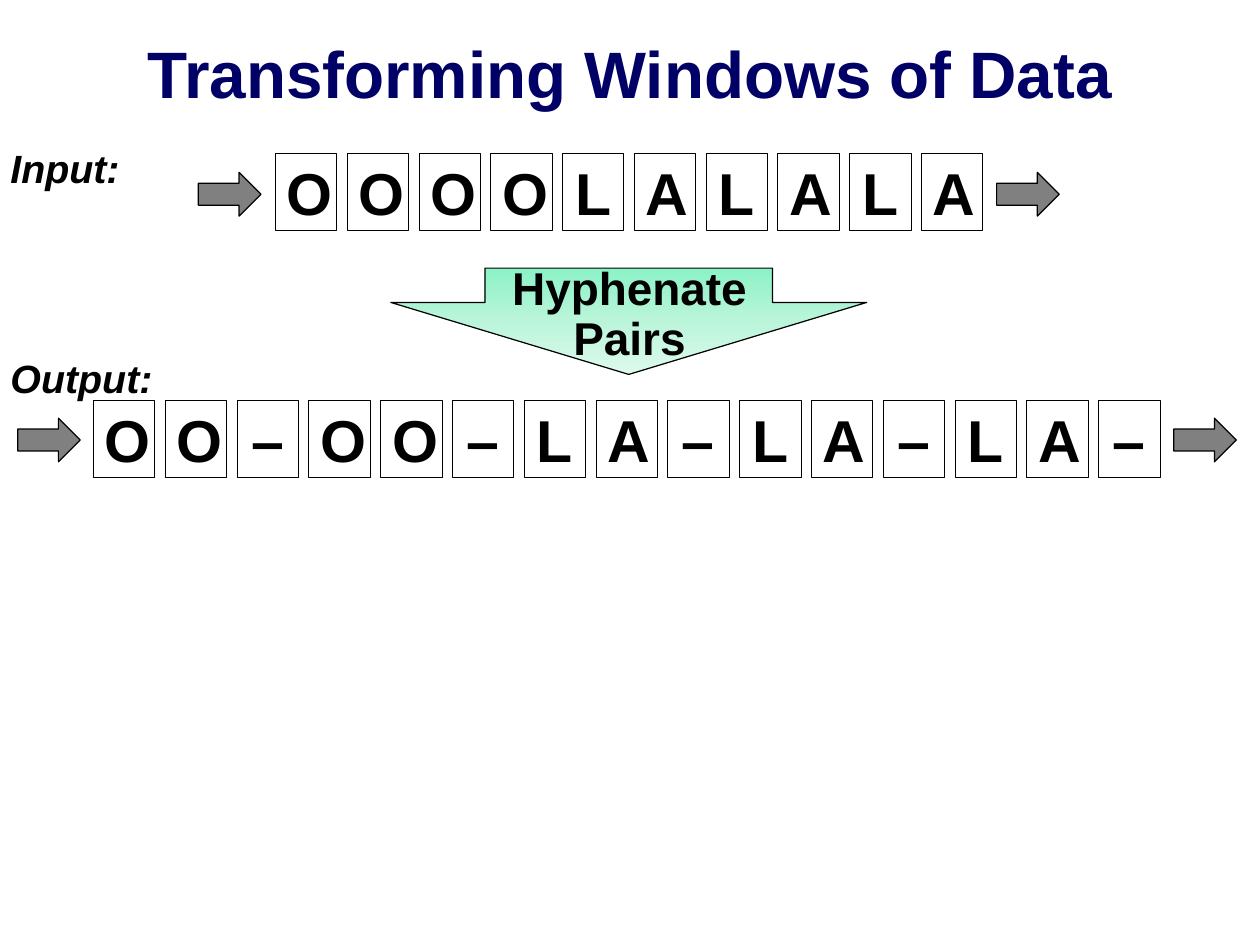
import copy
from dataclasses import dataclass

import pptx
import pptx.dml.color
import pptx.enum.shapes
import pptx.enum.text
import pptx.util

Inches = pptx.util.Inches
Pt = pptx.util.Pt
RGBColor = pptx.dml.color.RGBColor
Shape = pptx.enum.shapes.MSO_SHAPE
Align = pptx.enum.text.PP_ALIGN
Anchor = pptx.enum.text.MSO_ANCHOR
AutoSize = pptx.enum.text.MSO_AUTO_SIZE

NAVY = RGBColor(0x00, 0x00, 0x66)
BLACK = RGBColor(0x00, 0x00, 0x00)
WHITE = RGBColor(0xFF, 0xFF, 0xFF)
GRAY = RGBColor(0x80, 0x80, 0x80)
MINT_STOPS = (
    (0.0, RGBColor(0x8C, 0xF2, 0xC6)),
    (0.5, RGBColor(0xBA, 0xF5, 0xDA)),
    (1.0, RGBColor(0xDE, 0xF9, 0xEC)),
)

FONT = "Arial"
CELL_WIDTH, CELL_HEIGHT = 0.52, 0.65
CELL_PITCH = 0.608
ARROW_WIDTH, ARROW_HEIGHT = 0.53, 0.37


@dataclass
class Stream:
    """A row of characters flowing from one arrow to another."""
    label: str
    label_top: float
    label_width: float
    characters: str
    left: float
    top: float
    arrow_top: float
    arrow_lefts: tuple[float, float]


STREAMS = (
    Stream("Input:", 1.17, 1.13, "OOOOLALALA", 2.33, 1.3, 1.46, (1.68, 8.44)),
    Stream("Output:", 2.95, 1.42, "OO–OO–LA–LA–LA–", 0.79, 3.39, 3.54, (0.15, 9.94)),
)


def write_text(text_frame, text: str, *, size: float, color: RGBColor = BLACK,
               italic: bool = False, align=Align.CENTER, anchor=Anchor.MIDDLE,
               wrap: bool = True, auto_size=AutoSize.NONE, line_spacing=None) -> None:
    text_frame.word_wrap = wrap
    text_frame.auto_size = auto_size
    text_frame.vertical_anchor = anchor
    paragraph = text_frame.paragraphs[0]
    paragraph.text = text
    paragraph.alignment = align
    paragraph.line_spacing = line_spacing
    for run in paragraph.runs:
        run.font.name = FONT
        run.font.size = Pt(size)
        run.font.bold = True
        run.font.italic = italic
        run.font.color.rgb = color


def add_box(shapes, kind, left: float, top: float, width: float, height: float,
            line_width: float, fill: RGBColor | None = None):
    shape = shapes.add_shape(kind, Inches(left), Inches(top), Inches(width), Inches(height))
    shape.shadow.inherit = False
    shape.line.color.rgb = BLACK
    shape.line.width = Pt(line_width)
    if fill is not None:
        shape.fill.solid()
        shape.fill.fore_color.rgb = fill
    return shape


def add_label(shapes, text: str, left: float, top: float, width: float, height: float,
              **text_format) -> None:
    box = shapes.add_textbox(Inches(left), Inches(top), Inches(width), Inches(height))
    write_text(box.text_frame, text, anchor=Anchor.TOP,
               auto_size=AutoSize.SHAPE_TO_FIT_TEXT, **text_format)


def add_title(slide, text: str) -> None:
    title = slide.shapes.title
    title.left, title.top = Inches(0), Inches(-0.05)
    title.width, title.height = Inches(10.67), Inches(1.33)
    write_text(title.text_frame, text, size=40, color=NAVY)


def add_stream(shapes, stream: Stream) -> None:
    for left in stream.arrow_lefts:
        add_box(shapes, Shape.RIGHT_ARROW, left, stream.arrow_top,
                ARROW_WIDTH, ARROW_HEIGHT, 0.75, GRAY)
    for index, character in enumerate(stream.characters):
        cell = add_box(shapes, Shape.RECTANGLE, stream.left + index * CELL_PITCH,
                       stream.top, CELL_WIDTH, CELL_HEIGHT, 0.25, WHITE)
        write_text(cell.text_frame, character, size=36)
    add_label(shapes, stream.label, -0.01, stream.label_top, stream.label_width, 0.5,
              size=24, italic=True, align=Align.LEFT, wrap=False)


def add_transform(shapes, text: str) -> None:
    group = shapes.add_group_shape()
    arrow = add_box(group.shapes, Shape.DOWN_ARROW, 3.31, 2.27, 4.03, 0.9, 0.75)
    arrow.adjustments[0] = 0.604
    arrow.adjustments[1] = 0.677

    # A new gradient has two stops, so a middle one is added
    arrow.fill.gradient()
    arrow.fill.gradient_angle = 270
    stop_list = arrow.element.xpath(".//a:gsLst")[0]
    stop_list.insert(1, copy.deepcopy(stop_list[0]))
    for stop, (position, color) in zip(arrow.fill.gradient_stops, MINT_STOPS):
        stop.position = position
        stop.color.rgb = color

    add_label(group.shapes, text, 4.02, 2.2, 2.62, 0.95, size=28, line_spacing=0.9)


def main() -> None:
    presentation = pptx.Presentation()
    presentation.slide_width = Inches(10.67)
    presentation.slide_height = Inches(8)
    slide = presentation.slides.add_slide(presentation.slide_layouts[5])

    add_title(slide, "Transforming Windows of Data")

    # Input and output rows
    for stream in STREAMS:
        add_stream(slide.shapes, stream)

    # Operation between the rows
    add_transform(slide.shapes, "Hyphenate\nPairs")

    presentation.save("out.pptx")


if __name__ == "__main__":
    main()
